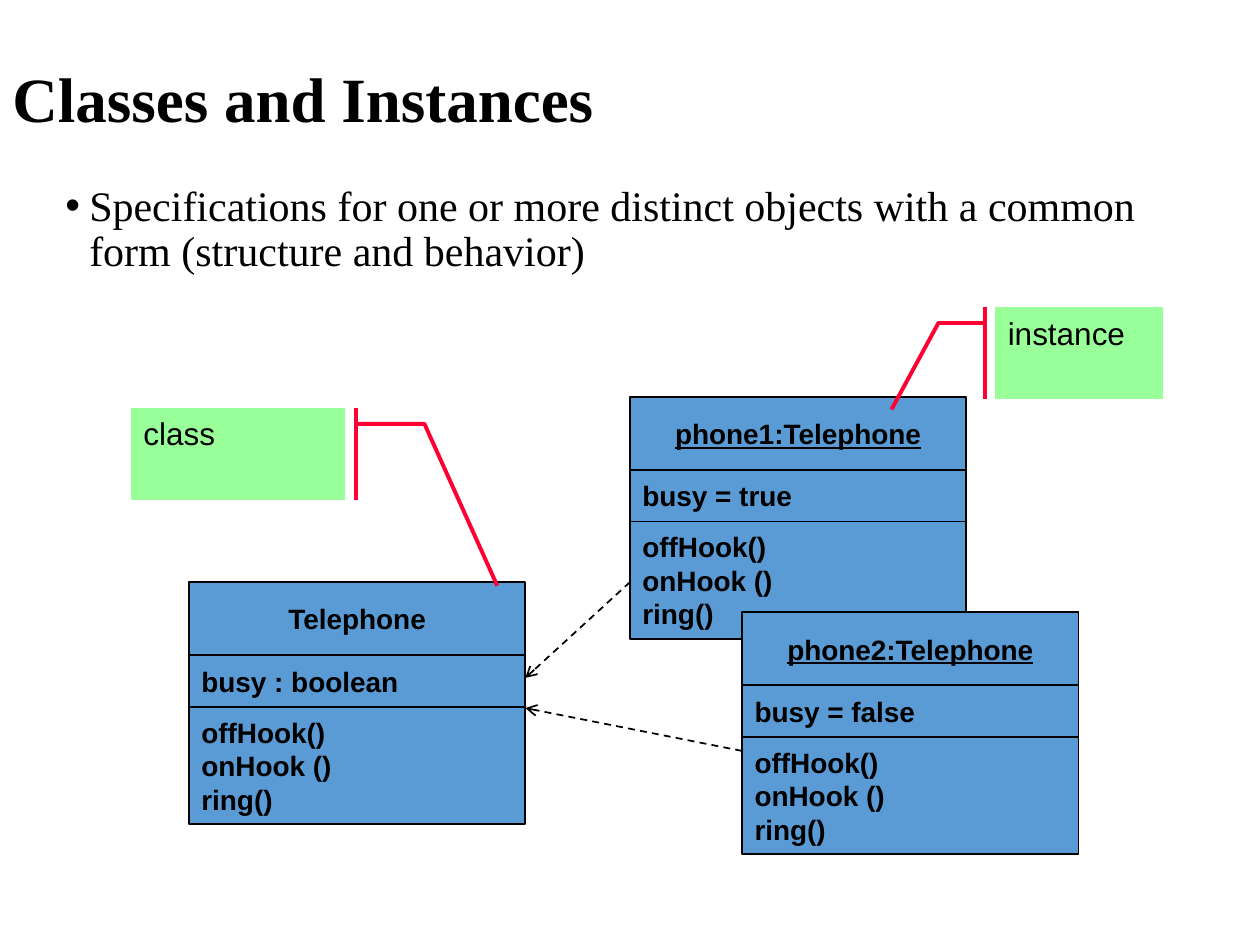
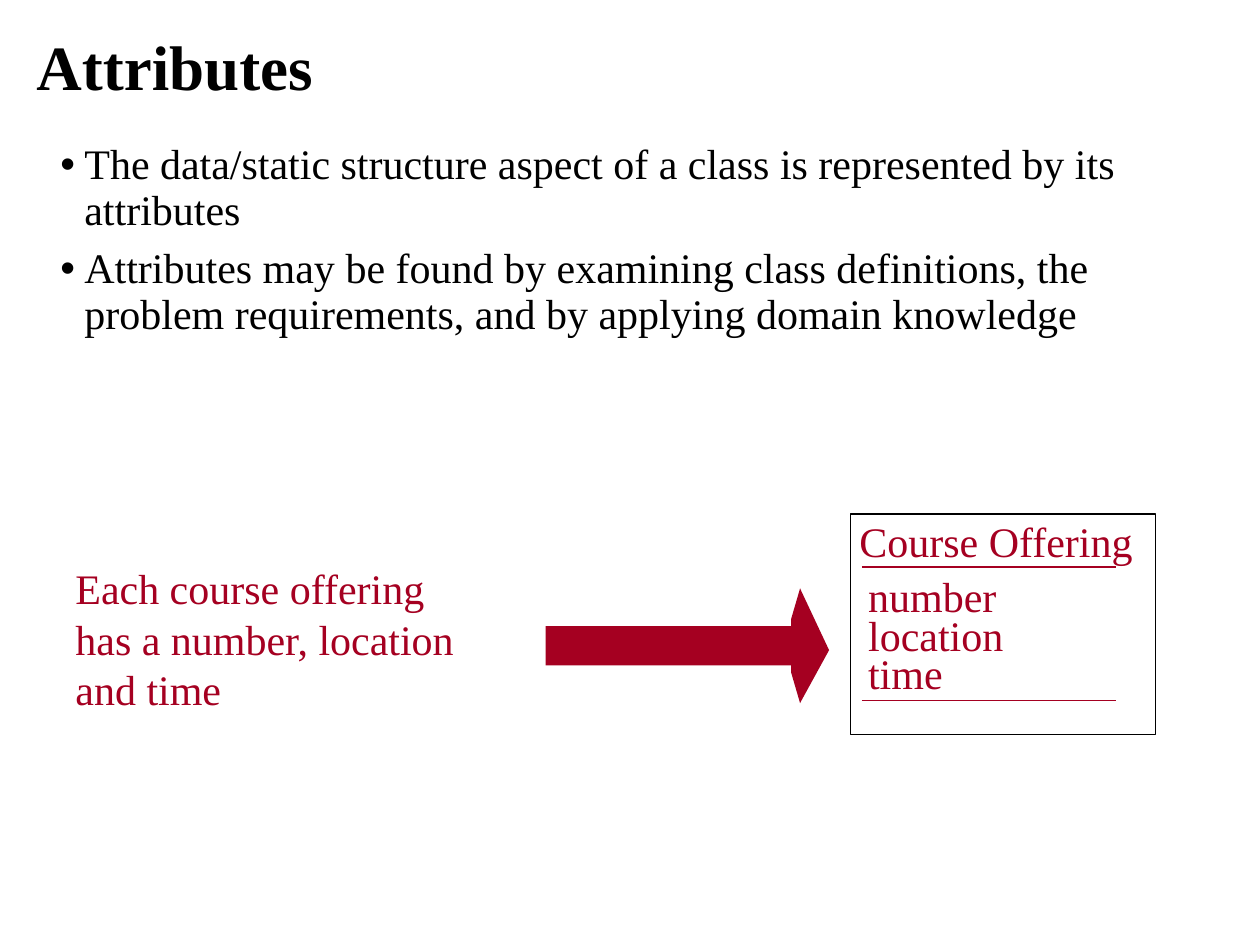
from lxml import etree
from pptx import Presentation
from pptx.dml.color import RGBColor
from pptx.enum.dml import MSO_LINE
from pptx.enum.shapes import MSO_CONNECTOR, MSO_SHAPE
from pptx.enum.text import MSO_ANCHOR, PP_ALIGN
from pptx.oxml.ns import qn
from pptx.util import Inches, Pt

DASH = MSO_LINE.DASH
STRAIGHT = MSO_CONNECTOR.STRAIGHT
RECTANGLE, CALLOUT = MSO_SHAPE.RECTANGLE, MSO_SHAPE.LINE_CALLOUT_2_ACCENT_BAR
TOP, MIDDLE = MSO_ANCHOR.TOP, MSO_ANCHOR.MIDDLE
LEFT, CENTER = PP_ALIGN.LEFT, PP_ALIGN.CENTER

COLORS = {"black": "000000", "class": "5B9BD5", "note": "99FF99",
          "pointer": "FF0033", "accent": "A50021"}
SERIF, SANS = "Times New Roman", "Arial"
DEFAULT_INSETS = (0.1, 0.05)

TITLE_FORMAT = {"name": SERIF, "size": Pt(36), "bold": True}
BODY_FORMAT = {"name": SERIF, "size": Pt(24)}
CLASS_FORMAT = {"name": SANS, "size": Pt(16), "bold": True}
NOTE_FORMAT = {"name": SANS, "size": Pt(18)}

# Slide 1
INSTANCES_TITLE = "Classes and Instances"
INSTANCES_POINTS = ["Specifications for one or more distinct objects with a common "
                    "form (structure and behavior)"]
OPERATIONS = ["offHook()", "onHook ()", "ring()"]
# left, top, name, attribute, is an instance
CLASS_BOXES = [(1.5, 4.62, "Telephone", "busy : boolean", False),
               (5, 3.15, "phone1:Telephone", "busy = true", True),
               (5.89, 4.86, "phone2:Telephone", "busy = false", True)]
CLASS_WIDTH = 2.67
COMPARTMENT_HEIGHTS = (0.58, 0.41, 0.93)
INSTANCE_ARROWS = [((5, 4.62), (4.17, 5.38)), ((5.89, 5.96), (4.17, 5.62))]
CALLOUTS = [("instance", (7.9, 2.44, 1.33, 0.73), (0.17, -0.06, 0.17, -0.34, 1.11, -0.62)),
            ("class", (1.04, 3.24, 1.7, 0.73), (0.17, 1.05, 0.17, 1.37, 1.93, 1.71))]

# Slide 2
ATTRIBUTES_TITLE = "Attributes"
ATTRIBUTES_POINTS = [
    "The data/static structure aspect of a class is represented by its attributes",
    "Attributes may be found by examining class definitions, the problem requirements, "
    "and by applying domain knowledge"]
STATEMENT = ["Each course offering", "has a number, location", "and time"]
ARROW_OUTLINES = [
    [(6.35, 4.67), (6.35, 5.58), (6.28, 5.34), (6.28, 4.91)],
    [(6.35, 4.97), (6.35, 4.67), (6.58, 5.16), (6.35, 5.58),
     (6.35, 5.28), (4.33, 5.28), (4.33, 4.97)]]
COURSE_BOX = (6.75, 4.08, 2.42, 1.75)
COURSE_NAME = "Course Offering"
COURSE_ATTRIBUTES = [("number", 1.03), ("location", 1.08), ("time", 0.6)]
ATTRIBUTE_LEFT, ATTRIBUTE_TOP, ATTRIBUTE_STEP = 6.89, 4.53, 0.305
LABEL_HEIGHT = 0.4
RULE_TOPS = (4.5, 5.56)
RULE_LEFT, RULE_RIGHT = 6.84, 8.86


def color(name):
    return RGBColor.from_string(COLORS[name])


def write(shape, lines, font_format, font_color="black", align=LEFT, anchor=TOP,
          insets=DEFAULT_INSETS, wrap=True, spacing=None):
    frame = shape.text_frame
    frame.word_wrap = wrap
    frame.vertical_anchor = anchor
    frame.margin_left = frame.margin_right = Inches(insets[0])
    frame.margin_top = frame.margin_bottom = Inches(insets[1])
    for index, line in enumerate(lines):
        paragraph = frame.paragraphs[0] if index == 0 else frame.add_paragraph()
        paragraph.alignment = align
        if spacing:
            paragraph.line_spacing = spacing
        run = paragraph.add_run()
        run.text = line
        run.font.color.rgb = color(font_color)
        for attribute, value in font_format.items():
            setattr(run.font, attribute, value)
    return frame


def add_text(slide, box, lines, font_format, **options):
    shape = slide.shapes.add_textbox(*map(Inches, box))
    return write(shape, lines, font_format, **options)


def add_title(slide, box, title, **options):
    add_text(slide, box, [title], TITLE_FORMAT, spacing=0.9, **options)


def add_bullets(slide, box, points, **options):
    frame = add_text(slide, box, points, BODY_FORMAT, spacing=0.9, **options)
    for paragraph in frame.paragraphs:
        paragraph.space_before = Pt(7.5)
        properties = paragraph._p.get_or_add_pPr()
        properties.set("marL", str(Inches(0.19)))
        properties.set("indent", str(-Inches(0.19)))
        etree.SubElement(properties, qn("a:buFont"), typeface=SANS)
        etree.SubElement(properties, qn("a:buChar"), char="•")


def add_shape(slide, kind, box, fill, line, width):
    shape = slide.shapes.add_shape(kind, *map(Inches, box))
    shape.shadow.inherit = False
    if fill:
        shape.fill.solid()
        shape.fill.fore_color.rgb = color(fill)
    else:
        shape.fill.background()
    shape.line.color.rgb = color(line)
    shape.line.width = Pt(width)
    return shape


def add_line(slide, start, end, line_color, dashed_arrow=False):
    connector = slide.shapes.add_connector(STRAIGHT, *map(Inches, start + end))
    connector.line.color.rgb = color(line_color)
    connector.line.width = Pt(1)
    if dashed_arrow:
        connector.line.dash_style = DASH
        etree.SubElement(connector.line._get_or_add_ln(), qn("a:tailEnd"), type="arrow")
    etree.SubElement(connector._element.spPr, qn("a:effectLst"))


def add_class_box(slide, left, top, name, attribute, is_instance):
    """Stack the name, attribute and operation compartments of a UML box."""
    name_format = {**CLASS_FORMAT, "underline": is_instance}
    compartments = [([name], name_format, CENTER), ([attribute], CLASS_FORMAT, LEFT),
                    (OPERATIONS, CLASS_FORMAT, LEFT)]
    for (lines, font_format, align), height in zip(compartments, COMPARTMENT_HEIGHTS):
        shape = add_shape(slide, RECTANGLE, (left, top, CLASS_WIDTH, height),
                          "class", "black", 1)
        write(shape, lines, font_format, align=align, anchor=MIDDLE)
        top += height


def add_outline(slide, points, fill):
    start, *rest = [tuple(map(Inches, point)) for point in points]
    builder = slide.shapes.build_freeform(*start, scale=1.0)
    builder.add_line_segments(rest, close=True)
    shape = builder.convert_to_shape()
    shape.shadow.inherit = False
    shape.fill.solid()
    shape.fill.fore_color.rgb = color(fill)
    shape.line.fill.background()


def build_instances_slide(slide):
    add_title(slide, (0, -0.23, 9.31, 2.08), INSTANCES_TITLE, anchor=MIDDLE)
    add_bullets(slide, (0.42, 1.42, 8.75, 1.25), INSTANCES_POINTS)
    for class_box in CLASS_BOXES:
        add_class_box(slide, *class_box)
    for start, end in INSTANCE_ARROWS:
        add_line(slide, start, end, "black", dashed_arrow=True)
    for label, box, adjustments in CALLOUTS:
        callout = add_shape(slide, CALLOUT, box, "note", "pointer", 2.25)
        for index, value in enumerate(adjustments):
            callout.adjustments[index] = value
        write(callout, [label], NOTE_FORMAT)


def build_attributes_slide(slide):
    add_title(slide, (0.23, 0.27, 7.13, 0.59), ATTRIBUTES_TITLE, insets=(0.06, 0.02))
    add_bullets(slide, (0.36, 1.08, 9.14, 4.76), ATTRIBUTES_POINTS, insets=(0.12, 0.06))
    add_text(slide, (0.5, 4.41, 3.31, 1.31), STATEMENT, BODY_FORMAT,
             font_color="accent", anchor=MIDDLE, wrap=False)
    for outline in ARROW_OUTLINES:
        add_outline(slide, outline, "accent")
    add_shape(slide, RECTANGLE, COURSE_BOX, None, "black", 1)
    for top in RULE_TOPS:
        add_line(slide, (RULE_LEFT, top), (RULE_RIGHT, top), "accent")
    labels = [(COURSE_NAME, 6.82, 4.09, 2.19)]
    labels += [(name, ATTRIBUTE_LEFT, ATTRIBUTE_TOP + row * ATTRIBUTE_STEP, width)
               for row, (name, width) in enumerate(COURSE_ATTRIBUTES)]
    for name, left, top, width in labels:
        add_text(slide, (left, top, width, LABEL_HEIGHT), [name], BODY_FORMAT,
                 font_color="accent", insets=(0, 0), wrap=False)


def main():
    presentation = Presentation()
    presentation.slide_width, presentation.slide_height = Inches(10), Inches(7.5)
    blank_layout = presentation.slide_layouts[6]
    for build in (build_instances_slide, build_attributes_slide):
        build(presentation.slides.add_slide(blank_layout))
    presentation.save("out.pptx")


if __name__ == "__main__":
    main()
